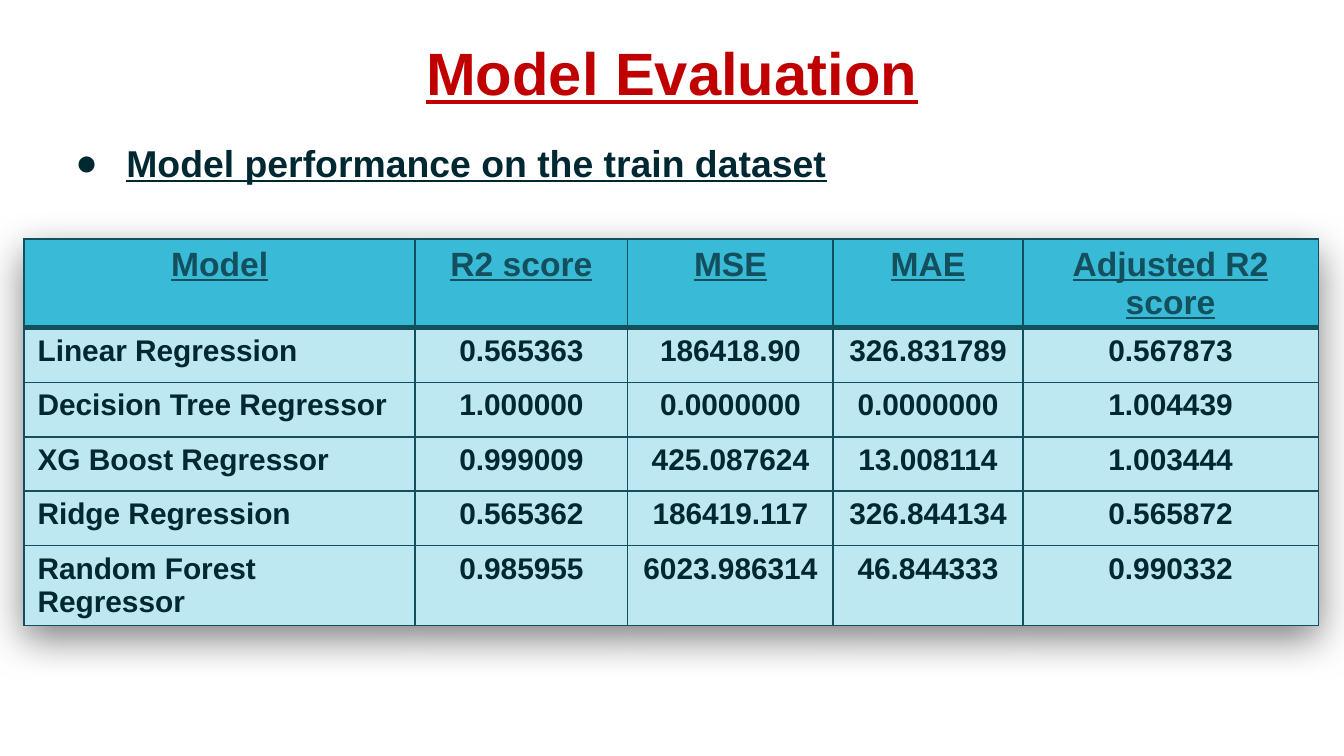
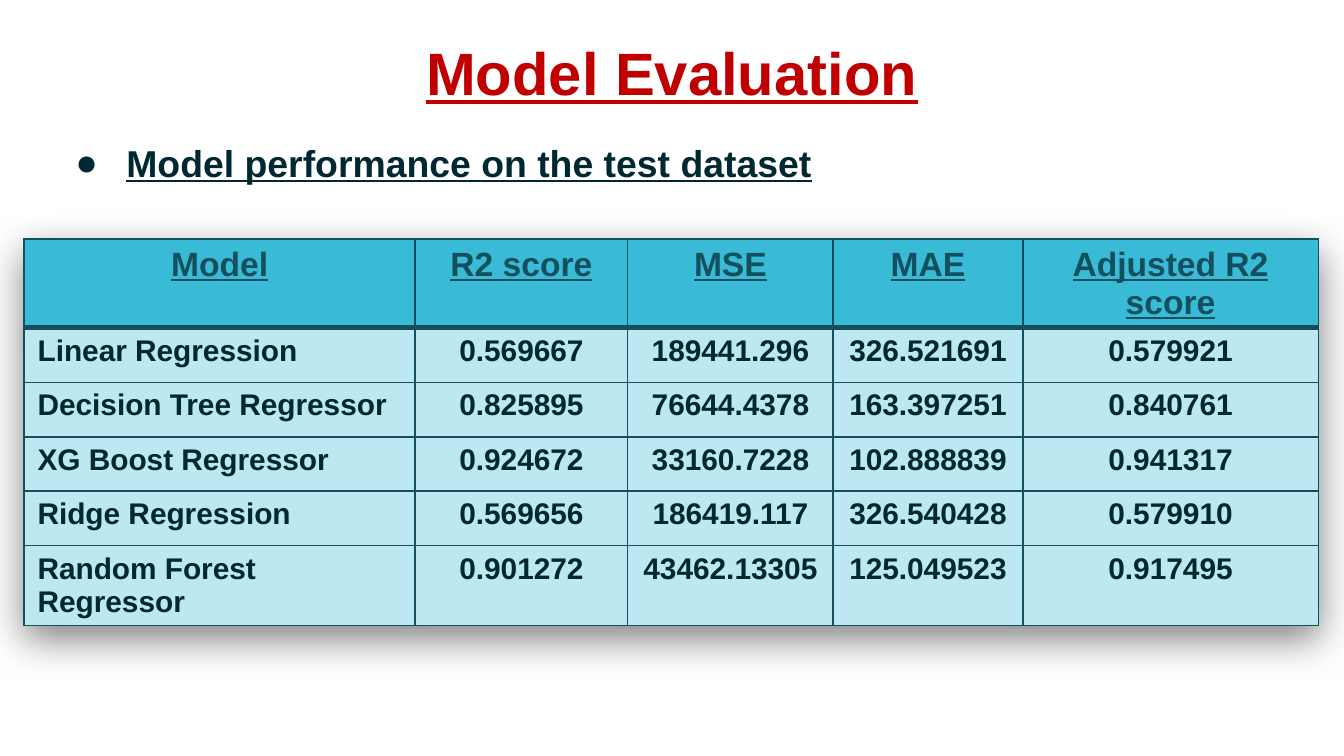
from dataclasses import dataclass

from lxml import etree
from pptx import Presentation
from pptx import util as u
from pptx.dml.color import RGBColor
from pptx.enum import text
from pptx.oxml import parse_xml

NS = "http://schemas.openxmlformats.org/drawingml/2006/main"


@dataclass(frozen=True)
class Theme:
    font: str = "Arial"
    red: str = "C00000"
    ink: str = "002832"
    teal: str = "134F5C"
    head: str = "39BAD6"
    cell: str = "BDE8F1"
    title_pt: int = 32
    body_pt: int = 20
    head_pt: int = 18
    cell_pt: int = 16
    thin: float = 1
    thick: float = 3


THEME = Theme()

# Slide is 16:9; boxes are left, top, width, height
WIDTH = u.Inches(10)
HEIGHT = WIDTH * 9 // 16
TITLE = (0.34, 0.24, 9.32, 0.66)
BODY = (0.34, 0.89, 9.32, 4.66)
GRID = (0.18, 1.78, 9.63, 2.43)
COLS = (2.91, 1.58, 1.53, 1.41, 2.2)

HEADS = ("Model", "R2 score", "MSE", "MAE", "Adjusted R2 score")
MODELS = ("Linear Regression", "Decision Tree Regressor", "XG Boost Regressor",
          "Ridge Regression", "Random Forest Regressor")
TRAIN = (
    ("0.565363", "186418.90", "326.831789", "0.567873"),
    ("1.000000", "0.0000000", "0.0000000", "1.004439"),
    ("0.999009", "425.087624", "13.008114", "1.003444"),
    ("0.565362", "186419.117", "326.844134", "0.565872"),
    ("0.985955", "6023.986314", "46.844333", "0.990332"),
)
TEST = (
    ("0.569667", "189441.296", "326.521691", "0.579921"),
    ("0.825895", "76644.4378", "163.397251", "0.840761"),
    ("0.924672", "33160.7228", "102.888839", "0.941317"),
    ("0.569656", "186419.117", "326.540428", "0.579910"),
    ("0.901272", "43462.13305", "125.049523", "0.917495"),
)


def style(para, size, color, line=True, align=text.PP_ALIGN.CENTER):
    """Format a paragraph and its runs."""
    para.alignment = align
    for run in para.runs:
        font = run.font
        font.name, font.size = THEME.font, u.Pt(size)
        font.bold, font.underline = True, line
        font.color.rgb = RGBColor.from_string(color)


def place(holder, box, words, anchor):
    """Move a placeholder into its box, fill it and return its paragraph."""
    holder.left, holder.top, holder.width, holder.height = map(u.Inches, box)
    frame = holder.text_frame
    frame.text = words
    frame.word_wrap = True
    frame.auto_size = text.MSO_AUTO_SIZE.NONE
    frame.vertical_anchor = anchor
    frame.margin_left = frame.margin_right = u.Inches(0.1)
    frame.margin_top = frame.margin_bottom = u.Inches(0.1)
    para = frame.paragraphs[0]
    para.space_before = u.Pt(0)
    return para


def add_title(slide, box, words):
    para = place(slide.shapes.title, box, words, text.MSO_ANCHOR.BOTTOM)
    style(para, THEME.title_pt, THEME.red)


def add_list(slide, box, words):
    para = place(slide.placeholders[1], box, words, text.MSO_ANCHOR.TOP)
    style(para, THEME.body_pt, THEME.ink, align=text.PP_ALIGN.LEFT)
    para.line_spacing = 1.15
    # Bullet and hanging indent
    props = para._p.get_or_add_pPr()
    props.set("marL", str(u.Inches(0.5)))
    props.set("indent", str(u.Inches(-0.38)))
    color = etree.SubElement(props, f"{{{NS}}}buClr")
    etree.SubElement(color, f"{{{NS}}}srgbClr", val=THEME.ink)
    etree.SubElement(props, f"{{{NS}}}buFont", typeface=THEME.font)
    etree.SubElement(props, f"{{{NS}}}buChar", char="●")


def border(cell, top, bottom):
    """Draw the four cell edges; top and bottom widths may differ."""
    props = cell._tc.get_or_add_tcPr()
    sides = {"L": THEME.thin, "R": THEME.thin, "T": top, "B": bottom}
    for side, width in sides.items():
        props.append(parse_xml(
            f'<a:ln{side} xmlns:a="{NS}" w="{u.Pt(width)}"><a:solidFill>'
            f'<a:srgbClr val="{THEME.teal}"/></a:solidFill>'
            f'<a:prstDash val="solid"/></a:ln{side}>'))


def shade(table):
    """Give the table a soft shadow below."""
    table._tbl.tblPr.insert(0, parse_xml(
        f'<a:effectLst xmlns:a="{NS}"><a:outerShdw blurRad="{u.Inches(0.3)}" '
        f'dist="{u.Inches(0.1)}" dir="5400000" algn="bl" rotWithShape="0">'
        '<a:srgbClr val="000000"><a:alpha val="50000"/></a:srgbClr>'
        '</a:outerShdw></a:effectLst>'))


def add_grid(slide, box, scores):
    rows = [HEADS] + [(name, *vals) for name, vals in zip(MODELS, scores)]
    shape = slide.shapes.add_table(len(rows), len(HEADS), *map(u.Inches, box))
    table = shape.table
    table.horz_banding = False
    shade(table)
    for col, width in zip(table.columns, COLS):
        col.width = u.Inches(width)
    for r, row in enumerate(rows):
        top = THEME.thick if r == 1 else THEME.thin
        bottom = THEME.thick if r == 0 else THEME.thin
        for c, words in enumerate(row):
            cell = table.cell(r, c)
            cell.text_frame.text = words
            para = cell.text_frame.paragraphs[0]
            if r == 0:
                style(para, THEME.head_pt, THEME.teal)
            else:
                align = text.PP_ALIGN.CENTER if c else text.PP_ALIGN.LEFT
                style(para, THEME.cell_pt, THEME.ink, False, align)
            border(cell, top, bottom)
            cell.fill.solid()
            fill = THEME.cell if r else THEME.head
            cell.fill.fore_color.rgb = RGBColor.from_string(fill)


def add_page(deck, part, scores):
    slide = deck.slides.add_slide(deck.slide_layouts[1])
    add_title(slide, TITLE, "Model Evaluation")
    add_list(slide, BODY, f"Model performance on the {part} dataset")
    add_grid(slide, GRID, scores)


def main():
    deck = Presentation()
    deck.slide_width, deck.slide_height = WIDTH, HEIGHT
    for part, scores in (("train", TRAIN), ("test", TEST)):
        add_page(deck, part, scores)
    deck.save("out.pptx")


if __name__ == "__main__":
    main()
